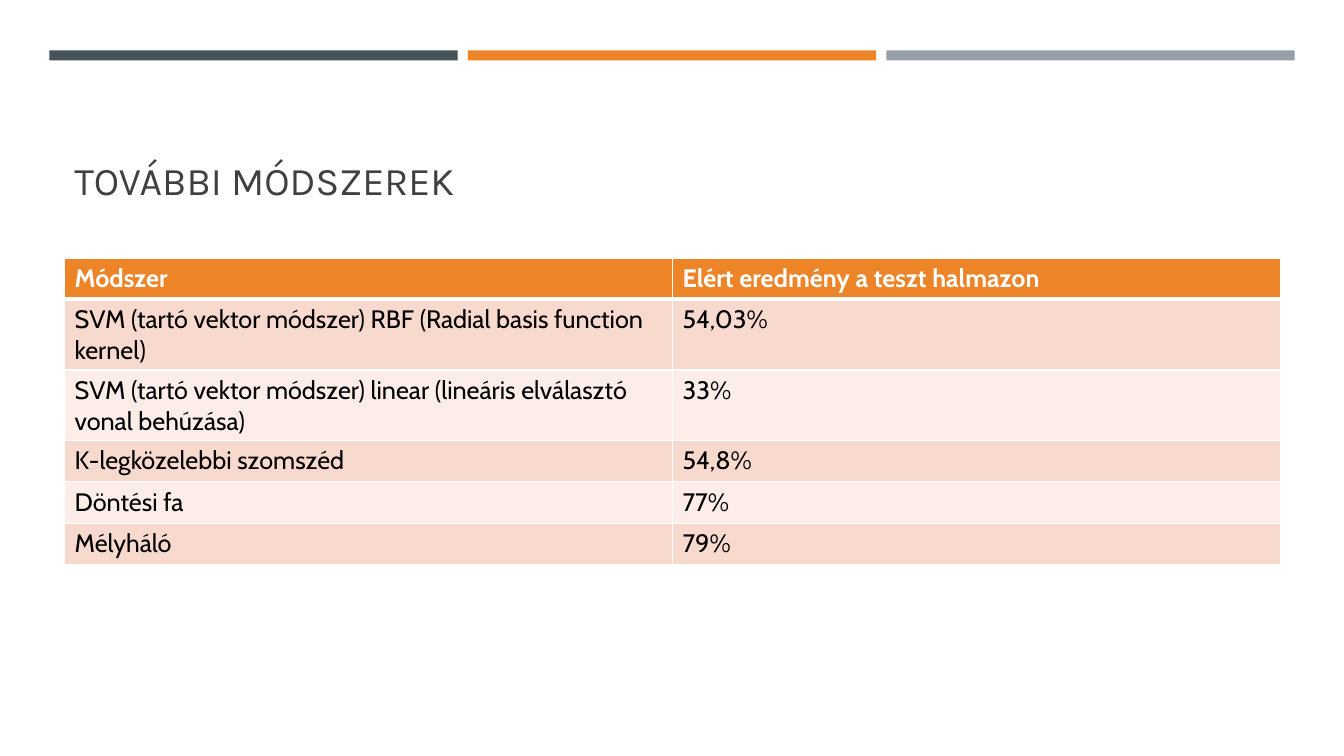
from pptx import Presentation
from pptx.dml.color import RGBColor
from pptx.enum.shapes import MSO_SHAPE
from pptx.enum.text import MSO_ANCHOR
from pptx.oxml import parse_xml
from pptx.oxml.ns import nsdecls
from pptx.util import Inches, Pt

SLATE = RGBColor(0x46, 0x53, 0x59)
ORANGE = RGBColor(0xED, 0x84, 0x28)
GREY = RGBColor(0x96, 0x9F, 0xA7)
CHARCOAL = RGBColor(0x40, 0x40, 0x40)
BLACK = RGBColor(0x00, 0x00, 0x00)
WHITE = RGBColor(0xFF, 0xFF, 0xFF)
PEACH = RGBColor(0xF8, 0xD9, 0xCD)
PALE_PEACH = RGBColor(0xFC, 0xED, 0xE8)

ROWS = [
    ("Módszer", "Elért eredmény a teszt halmazon"),
    ("SVM (tartó vektor módszer) RBF (Radial basis function kernel)", "54,03%"),
    ("SVM (tartó vektor módszer) linear (lineáris elválasztó vonal behúzása)", "33%"),
    ("K-legközelebbi szomszéd", "54,8%"),
    ("Döntési fa", "77%"),
    ("Mélyháló", "79%"),
]


def write_text(tf, text, color, **formats):
    r = tf.paragraphs[0].add_run()
    r.text = text
    r.font.color.rgb = color
    for name, value in formats.items():
        setattr(r.font, name, value)


def add_bar(s, left, color):
    bar = s.shapes.add_shape(
        MSO_SHAPE.RECTANGLE, Inches(left), Inches(0.5), Inches(4.05), Inches(0.1)
    )
    bar.shadow.inherit = False
    bar.fill.solid()
    bar.fill.fore_color.rgb = color
    bar.line.fill.background()


def add_title(s, text):
    box = s.shapes.add_textbox(Inches(0.64), Inches(0.77), Inches(12.06), Inches(1.3))
    tf = box.text_frame
    tf.word_wrap = True
    tf.vertical_anchor = MSO_ANCHOR.BOTTOM
    write_text(tf, text, CHARCOAL, name="Karla", size=Pt(28))


def add_borders(cell, widths):
    tc_pr = cell._tc.get_or_add_tcPr()
    for side, width in widths.items():
        tc_pr.append(parse_xml(
            f'<a:ln{side} {nsdecls("a")} w="{Pt(width)}"><a:solidFill>'
            f'<a:srgbClr val="{WHITE}"/></a:solidFill></a:ln{side}>'
        ))


def add_results_table(s, rows):
    frame = s.shapes.add_table(
        len(rows), 2, Inches(0.64), Inches(2.56), Inches(12.06), Inches(0.41 * len(rows))
    )
    for i, row in enumerate(rows):
        header = i == 0
        fill = ORANGE if header else (PALE_PEACH, PEACH)[i % 2]
        widths = {"L": 1, "R": 1, "T": 3 if i == 1 else 1, "B": 3 if header else 1}
        for j, text in enumerate(row):
            cell = frame.table.cell(i, j)
            add_borders(cell, widths)
            cell.fill.solid()
            cell.fill.fore_color.rgb = fill
            write_text(cell.text_frame, text, WHITE if header else BLACK,
                       name="Cabin", size=Pt(18), bold=header)


def main():
    prs = Presentation()
    prs.slide_width, prs.slide_height = Inches(13.33), Inches(7.5)
    s = prs.slides.add_slide(prs.slide_layouts[6])
    for i, color in enumerate((SLATE, ORANGE, GREY)):
        add_bar(s, 0.49 + 4.15 * i, color)
    add_title(s, "TOVÁBBI MÓDSZEREK")
    add_results_table(s, ROWS)
    prs.save("out.pptx")


if __name__ == "__main__":
    main()
